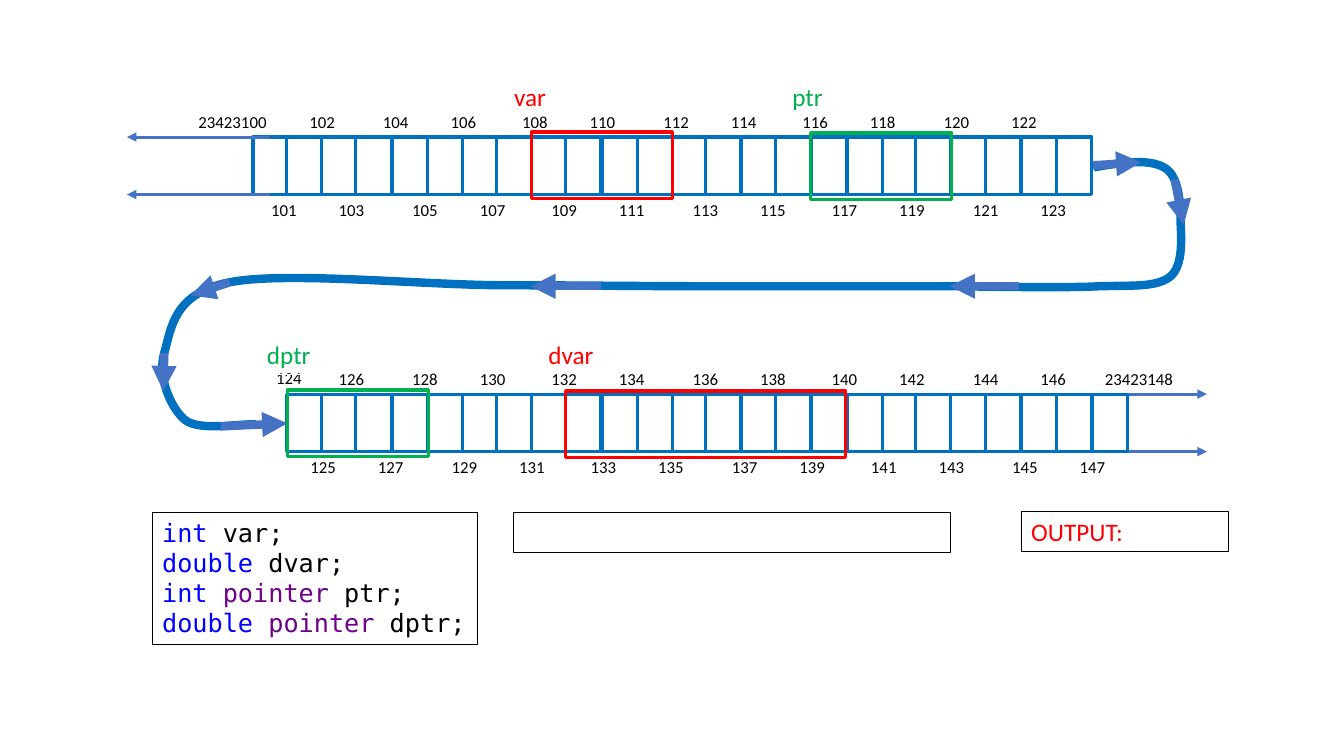
from dataclasses import dataclass

from lxml import etree
from pptx import Presentation
from pptx import util as u
from pptx.dml import color
from pptx.enum import shapes, text
from pptx.oxml import ns

CM_PER_INCH = 2.54


@dataclass(frozen=True)
class Theme:
    """Colours, fonts and sizes of the slide."""
    cell: str = "0070C0"
    arrow: str = "4472C4"
    value: str = "FF0000"
    pointer: str = "00B050"
    keyword: str = "0000FF"
    modifier: str = "6F008A"
    ink: str = "000000"
    paper: str = "FFFFFF"
    body_font: str = "Calibri"
    code_font: str = "DejaVu Sans Mono"
    address_size: int = 12
    name_size: int = 18
    thin: float = 0.75
    normal: float = 2.25
    thick: float = 6


def length(inches):
    """Turn a distance in inches into a Cm length."""
    return u.Cm(inches * CM_PER_INCH)


def lengths(*values):
    """Turn several distances into lengths."""
    return [length(value) for value in values]


class MemorySlide:
    """Draws the elements of a memory diagram on one slide."""

    def __init__(self, slide, theme):
        """Keep the slide and its style."""
        self.shapes = slide.shapes
        self.theme = theme

    def outline(self, element, hue, weight):
        """Colour and weigh the line of an element."""
        element.line.color.rgb = color.RGBColor.from_string(hue)
        element.line.width = u.Pt(weight)

    def frame(self, place, hue, fill=None):
        """Draw a rectangle, hollow unless a fill is given."""
        block = self.shapes.add_shape(shapes.MSO_SHAPE.RECTANGLE, *lengths(*place))
        block.shadow.inherit = False
        if fill:
            block.fill.solid()
            block.fill.fore_color.rgb = color.RGBColor.from_string(fill)
        else:
            block.fill.background()
        self.outline(block, hue, self.theme.normal)

    def words(self, place, lines, size, font=None, border=None, wrap=True):
        """Write lines of (wording, colour) runs, with an optional border."""
        block = self.shapes.add_textbox(*lengths(*place))
        if border:
            self.outline(block, border, self.theme.thin)
        body = block.text_frame
        body.word_wrap = wrap
        body.auto_size = text.MSO_AUTO_SIZE.SHAPE_TO_FIT_TEXT
        for number, runs in enumerate(lines):
            line = body.add_paragraph() if number else body.paragraphs[0]
            line.font.size = u.Pt(size)
            for wording, hue in runs:
                run = line.add_run()
                run.text = wording
                run.font.name = font or self.theme.body_font
                run.font.size = u.Pt(size)
                run.font.color.rgb = color.RGBColor.from_string(hue)

    def address(self, left, top, wording, width=0.49, wrap=True):
        """Write one memory address."""
        self.words((left, top, width, 0.3), [[(str(wording), self.theme.ink)]],
                   self.theme.address_size, wrap=wrap)

    def arrow(self, ends, weight):
        """Draw a straight arrow pointing at its second end."""
        link = self.shapes.add_connector(shapes.MSO_CONNECTOR.STRAIGHT, *lengths(*ends))
        self.outline(link, self.theme.arrow, weight)
        etree.SubElement(link.line._get_or_add_ln(), ns.qn("a:tailEnd"), type="triangle")
        etree.SubElement(link._element.spPr, ns.qn("a:effectLst"))

    def curve(self, start, points):
        """Draw an open Bezier curve; each three points make one segment."""
        builder = self.shapes.build_freeform(*lengths(*start), scale=1.0)
        builder.add_line_segments([lengths(*point) for point in points], close=False)
        band = builder.convert_to_shape()
        steps = band._element.xpath(".//a:lnTo")
        for first in range(0, len(steps), 3):
            bend = etree.Element(ns.qn("a:cubicBezTo"))
            steps[first].addprevious(bend)
            for step in steps[first:first + 3]:
                bend.append(step[0])
                step.getparent().remove(step)
        band.shadow.inherit = False
        band.fill.background()
        self.outline(band, self.theme.cell, self.theme.thick)


CELL_STEPS = (0, 0.35, 0.69, 1.05, 1.4, 1.75)
ADDRESS_STEPS = (0, 0.67, 1.4, 2.07)
CELL_HEIGHT = 0.57
UPPER, LOWER = 1.36, 3.91


def cell_left(column):
    """Left edge of a memory cell; the spacing repeats every six cells."""
    cycle, step = divmod(column, 6)
    return 2.84 + 2.08 * cycle + CELL_STEPS[step]


def draw_cells(memory, top, columns):
    """Draw the cells of one memory row."""
    for column in columns:
        memory.frame((cell_left(column), top, 0.35, CELL_HEIGHT),
                     memory.theme.cell, memory.theme.paper)


def draw_addresses(memory, start, top, first, places):
    """Write every second address; the spacing repeats every four."""
    for place in places:
        cycle, step = divmod(place, 4)
        memory.address(start + 2.78 * cycle + ADDRESS_STEPS[step], top, first + 2 * place)


theme = Theme()
deck = Presentation()
deck.slide_width, deck.slide_height = lengths(13.33, 7.5)
memory = MemorySlide(deck.slides.add_slide(deck.slide_layouts[6]), theme)

draw_cells(memory, UPPER, range(-1, 23))
for top, start, end in ((UPPER, 2.68, 1.26), (LOWER, 10.58, 11.97)):
    for edge in (top, top + CELL_HEIGHT):
        memory.arrow((start, edge, end, edge), theme.normal)
draw_cells(memory, LOWER, range(24))

memory.address(1.87, 1.06, 23423100, width=0.89, wrap=False)
memory.address(2.64, 3.6, 124)
memory.address(10.86, 3.61, 23423148, width=0.97)
for start, top, first, places in (
        (2.3, 1.06, 100, range(1, 12)), (2.59, 1.93, 101, range(12)),
        (2.59, 3.61, 124, range(1, 12)), (2.98, 4.48, 125, range(12))):
    draw_addresses(memory, start, top, first, places)

memory.curve((10.85, 1.66), [
    (11.13, 1.61), (11.41, 1.57), (11.56, 1.67),
    (11.7, 1.76), (11.71, 2.04), (11.71, 2.22),
    (11.72, 2.4), (11.73, 2.65), (11.6, 2.75),
    (11.46, 2.85), (11.25, 2.83), (10.9, 2.84),
    (10.56, 2.86), (9.53, 2.84), (9.53, 2.84),
    (8.7, 2.84), (7.9, 2.84), (7.06, 2.84),
    (6.4, 2.84), (5.7, 2.83), (5.01, 2.83),
    (4.21, 2.83), (2.84, 2.69), (2.28, 2.8),
    (1.71, 2.91), (1.7, 3.27), (1.63, 3.5),
    (1.56, 3.73), (1.69, 4.05), (1.84, 4.17),
    (1.99, 4.28), (2.39, 4.2), (2.54, 4.21)])
for ends in ((10.84, 1.64, 11.32, 1.61), (11.65, 1.78, 11.74, 2.23),
             (10.11, 2.84, 9.42, 2.84), (5.96, 2.84, 5.26, 2.84),
             (2.28, 2.8, 1.89, 2.93), (1.63, 3.5, 1.62, 3.88),
             (2.19, 4.23, 2.85, 4.2)):
    memory.arrow(ends, theme.thick)

for name, hue, frame, label, border in (
        ("var", theme.value, (5.27, 1.31, 1.4, 0.66), (5, 0.76, 0.54, 0.4), None),
        ("dvar", theme.value, (5.61, 3.88, 2.78, 0.66), (5.34, 3.32, 0.74, 0.4), None),
        ("ptr", theme.pointer, (8.04, 1.32, 1.4, 0.66), (7.76, 0.76, 0.54, 0.4), theme.paper),
        ("dptr", theme.pointer, (2.85, 3.87, 1.4, 0.66), (2.55, 3.32, 0.64, 0.4), theme.paper)):
    memory.frame(frame, hue)
    memory.words(label, [[(name, hue)]], theme.name_size, border=border)

declarations = [
    [("int", theme.keyword), (" var;", theme.ink)],
    [("double ", theme.keyword), ("dvar;", theme.ink)],
    [("int ", theme.keyword), ("pointer ", theme.modifier), ("ptr;", theme.ink)],
    [("double ", theme.keyword), ("pointer ", theme.modifier), ("dptr;", theme.ink)]]
memory.words((1.51, 5.08, 3.23, 1.31), declarations, theme.name_size,
             font=theme.code_font, border=theme.ink)
memory.words((5.09, 5.08, 4.34, 0.4), [[]], theme.name_size, border=theme.ink)
memory.words((10.13, 5.07, 2.06, 0.4), [[("OUTPUT:", theme.value)]],
             theme.name_size, border=theme.ink)

deck.save("out.pptx")
